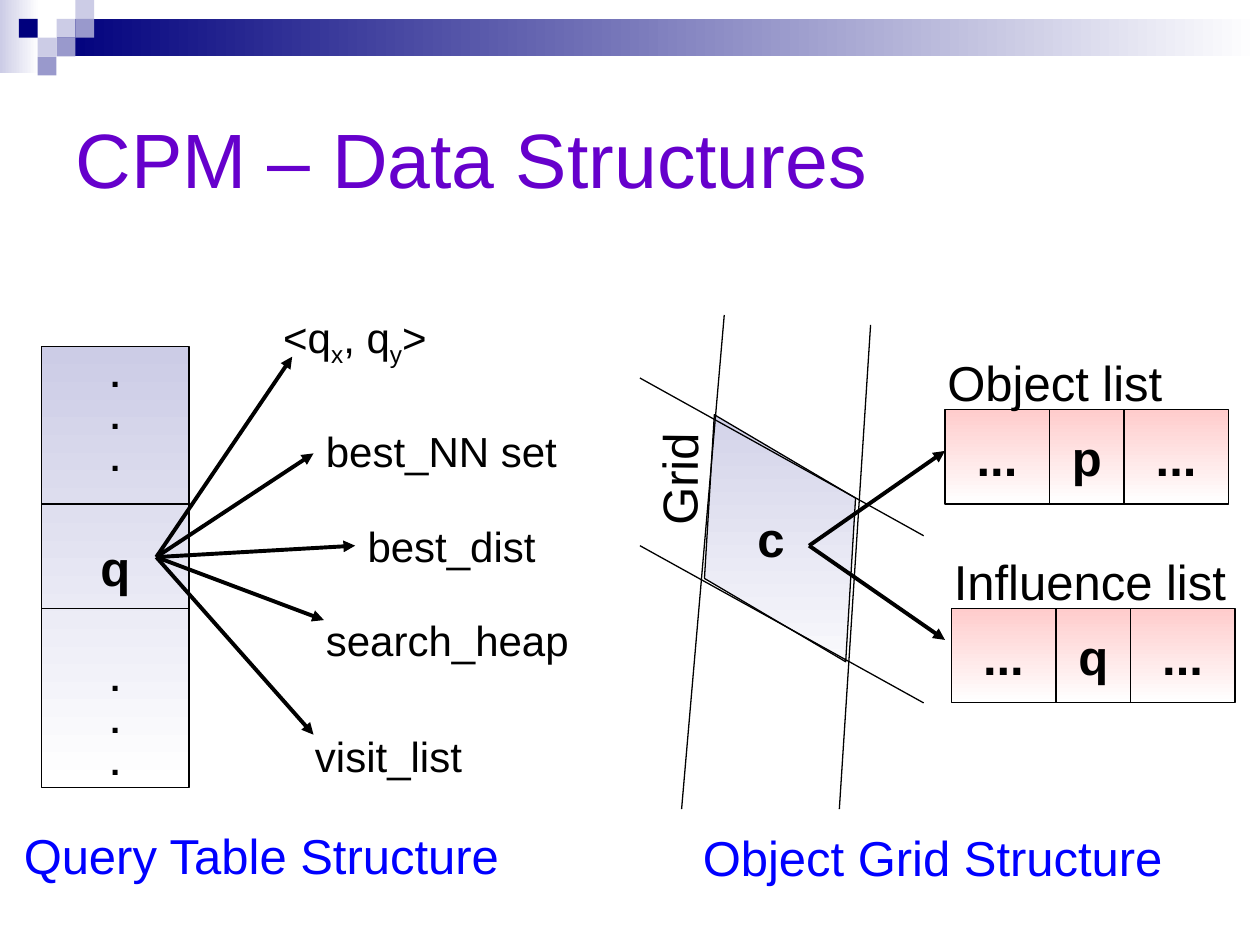
from lxml import etree
from pptx import Presentation
from pptx import util as u
from pptx.dml.color import RGBColor
from pptx.enum import shapes, text
from pptx.oxml import ns

BLACK = RGBColor(0x00, 0x00, 0x00)
WHITE = RGBColor(0xFF, 0xFF, 0xFF)
NAVY = RGBColor(0x00, 0x00, 0x7D)
PERIWINKLE = RGBColor(0x99, 0x99, 0xCC)
LAVENDER = RGBColor(0xCC, 0xCC, 0xE6)
PINK = RGBColor(0xFF, 0xCC, 0xCC)
BLUE = RGBColor(0x00, 0x00, 0xFF)
PURPLE = RGBColor(0x66, 0x00, 0xCC)
RECT = shapes.MSO_SHAPE.RECTANGLE
DIAMOND = shapes.MSO_SHAPE.DIAMOND


def add_span(para, words, size, colour=BLACK, bold=False):
    span = para.add_run()
    span.text = words
    for name, value in {"name": "Arial", "size": u.Pt(size), "bold": bold}.items():
        setattr(span.font, name, value)
    span.font.color.rgb = colour
    return span


def add_box(page, left, top, width, height=1.45, wrap=False):
    box = page.shapes.add_textbox(u.Cm(left), u.Cm(top), u.Cm(width), u.Cm(height))
    box.text_frame.word_wrap = wrap
    return box


deck = Presentation()
deck.slide_width, deck.slide_height = u.Cm(25.4), u.Cm(19.05)
page = deck.slides.add_slide(deck.slide_layouts[5])

# Title
title = page.shapes.title
place = {"left": 1.27, "top": 1.27, "width": 22.86, "height": 3.81}
for name, value in place.items():
    setattr(title, name, u.Cm(value))
frame = title.text_frame
frame.vertical_anchor = text.MSO_ANCHOR.MIDDLE
frame.auto_size = text.MSO_AUTO_SIZE.NONE
frame.paragraphs[0].alignment = text.PP_ALIGN.LEFT
add_span(frame.paragraphs[0], "CPM – Data Structures", 44, PURPLE)

# Filled shapes: key, kind, place, first and last colour, angle, outlined
LISTS = [("Object list", "p", 19.05, 8.26, 4.93),
         ("Influence list", "q", 19.18, 12.27, 6.09)]
filled = [
    ("Fade", RECT, (0, 0, 0.79, 1.47), (WHITE, LAVENDER), 180, False),
    ("Banner", RECT, (1.14, 0.38, 24.26, 0.76), (WHITE, NAVY), 180, False),
    ("Query table", RECT, (0.84, 6.99, 2.97, 8.89), (LAVENDER, WHITE), 270, True),
    ("Cell", DIAMOND, (14, 8.03, 3.45, 5.64), (LAVENDER, WHITE), 242, True),
]
for name, letter, left, top, width in LISTS:
    filled.append((name, RECT, (left, top, 5.72, 1.9), (PINK, WHITE), 270, True))

SQUARE = 0.38
squares = [(3, 1, LAVENDER), (4, 0, LAVENDER), (4, 1, PERIWINKLE), (2, 2, LAVENDER),
           (1, 1, NAVY), (3, 2, PERIWINKLE), (2, 3, PERIWINKLE)]
for column, row, colour in squares:
    place = (column * SQUARE, row * SQUARE, SQUARE, SQUARE)
    filled.append((f"Square {column}-{row}", RECT, place, (colour,), 0, False))

named = {}
for name, kind, place, colours, angle, outlined in filled:
    shape = page.shapes.add_shape(kind, *(u.Cm(value) for value in place))
    shape.shadow.inherit = False
    if len(colours) == 1:
        shape.fill.solid()
        shape.fill.fore_color.rgb = colours[0]
    else:
        shape.fill.gradient()
        shape.fill.gradient_angle = angle
        for stop, colour in zip(shape.fill.gradient_stops, colours):
            stop.color.rgb = colour
    if outlined:
        shape.line.color.rgb = BLACK
        shape.line.width = u.Pt(0.75)
    else:
        shape.line.fill.background()
    named[name] = shape
named["Cell"].rotation = 332

# Query table entries
frame = named["Query table"].text_frame
frame.word_wrap = False
frame.vertical_anchor = text.MSO_ANCHOR.MIDDLE
for index, mark in enumerate("...q..."):
    para = frame.paragraphs[0] if index == 0 else frame.add_paragraph()
    para.alignment = text.PP_ALIGN.CENTER
    if index in (3, 4):
        para.space_before = u.Pt(34)
    add_span(para, mark, 28 if mark == "q" else 20, bold=True)

# List entries, centred on one tab stop for each compartment
for name, letter, left, top, width in LISTS:
    frame = named[name].text_frame
    frame.margin_left = frame.margin_right = 0
    frame.vertical_anchor = text.MSO_ANCHOR.MIDDLE
    para = frame.paragraphs[0]
    para.alignment = text.PP_ALIGN.LEFT
    stops = etree.SubElement(para._p.get_or_add_pPr(), ns.qn("a:tabLst"))
    for position in (1.05, 2.86, 4.66):
        etree.SubElement(stops, ns.qn("a:tab"), pos=str(u.Cm(position)), algn="ctr")
    add_span(para, f"\t...\t{letter}\t...", 28, bold=True)

# Lines: from x, from y, to x, to y
thin = [
    (0.84, 10.16, 3.81, 10.16), (0.84, 12.27, 3.81, 12.27),
    (14.6, 6.35, 13.74, 16.31), (17.55, 6.55, 16.92, 16.31),
    (12.9, 7.62, 18.62, 10.8), (12.9, 11, 18.62, 14.17),
]
for name, letter, left, top, width in LISTS:
    for offset in (2.11, 3.61):
        thin.append((left + offset, top, left + offset, top + 1.9))
query_targets = [(5.89, 7.19), (6.32, 9.14), (7.16, 11), (6.32, 14.81), (6.53, 12.5)]
cell_targets = [(19.05, 9.09), (19.05, 12.9)]
arrows = [(3.15, 11.23, *target) for target in query_targets]
arrows += [(16.31, 11, *target) for target in cell_targets]

for lines, weight, headed in ((thin, 0.75, False), (arrows, 2.25, True)):
    for ends in lines:
        line = page.shapes.add_connector(
            shapes.MSO_CONNECTOR.STRAIGHT, *(u.Cm(value) for value in ends))
        line.line.color.rgb = BLACK
        line.line.width = u.Pt(weight)
        if headed:
            etree.SubElement(line.line._get_or_add_ln(), ns.qn("a:tailEnd"), type="triangle")
        etree.SubElement(line._element.spPr, ns.qn("a:effectLst"))

# Fields of a query table entry
box = add_box(page, 5.46, 6.15, 3.81, 1.42, True)
for words, lowered in (("<q", False), ("x", True), (", q", False), ("y", True), (">", False)):
    span = add_span(box.text_frame.paragraphs[0], words, 24)
    if lowered:
        span._r.get_or_add_rPr().set("baseline", "-25000")
fields = [("best_NN set", 6.32, 8.46), ("best_dist", 7.16, 10.36),
          ("search_heap", 6.32, 12.27), ("visit_list", 6.1, 14.61)]
for words, left, top in fields:
    box = add_box(page, left, top, 5.92, 1.27, True)
    add_span(box.text_frame.paragraphs[0], words, 24)

# Captions and labels
labels = [
    ("Query Table Structure", 0.23, 16.51, 10.21, BLUE, False, 0),
    ("Object Grid Structure", 13.92, 16.56, 9.95, BLUE, False, 0),
    ("Grid", 12.4, 8.84, 2.56, BLACK, False, 270.5),
    ("c", 15.02, 10.13, 1.08, BLACK, True, 0),
]
for name, letter, left, top, width in LISTS:
    labels.append((name, left - 0.2, top - 1.27, width, BLACK, False, 0))
for words, left, top, width, colour, bold, turn in labels:
    box = add_box(page, left, top, width)
    box.rotation = turn
    add_span(box.text_frame.paragraphs[0], words, 28, colour, bold)

deck.save("out.pptx")
